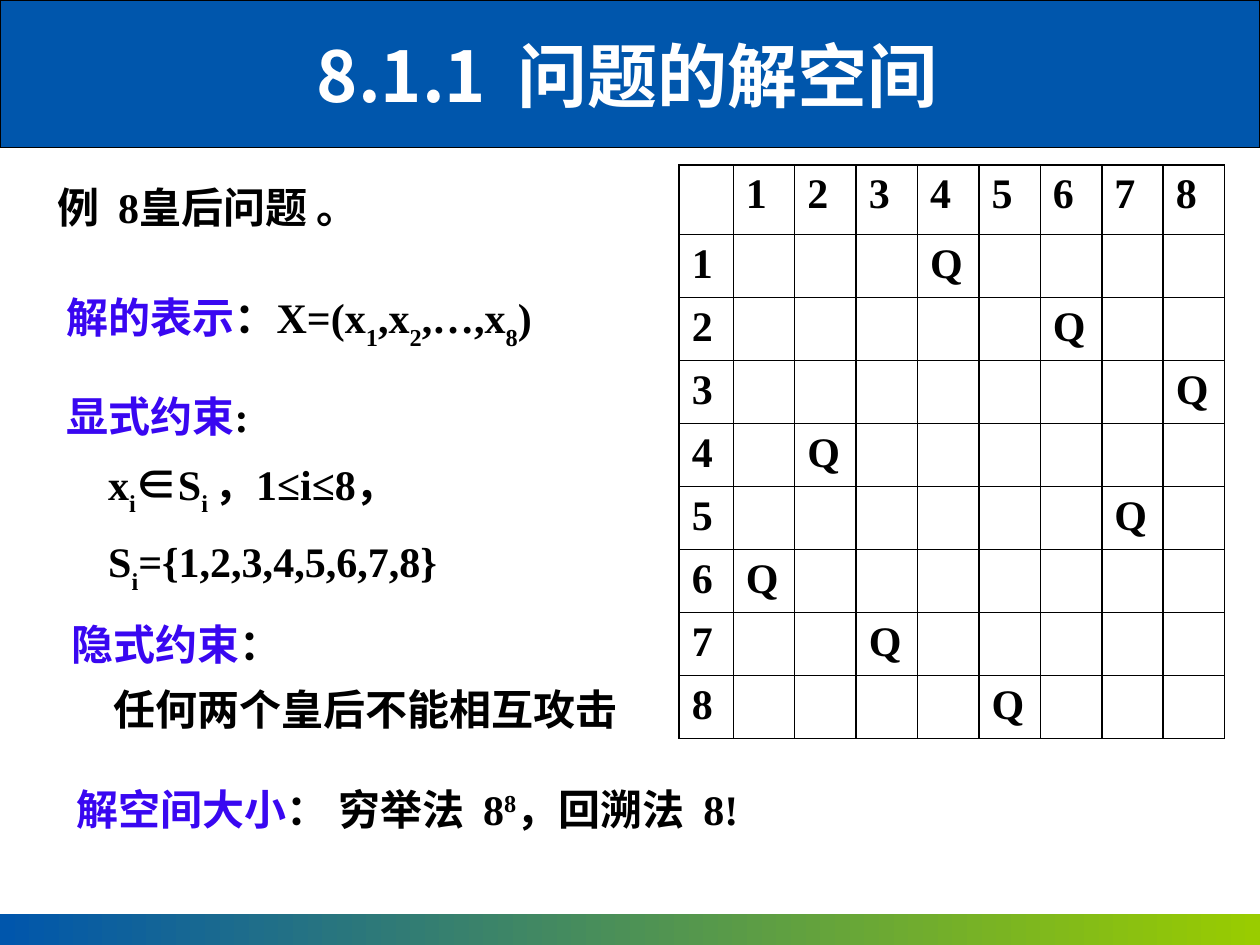
"""Build the slide on the solution space of the eight queens problem."""
from lxml.etree import SubElement
from pptx import Presentation
from pptx.dml.color import RGBColor
from pptx.enum.shapes import MSO_SHAPE
from pptx.enum.text import MSO_ANCHOR, MSO_AUTO_SIZE, PP_ALIGN
from pptx.oxml import parse_xml
from pptx.oxml.ns import nsdecls, qn
from pptx.util import Inches, Pt

BLACK = RGBColor(0x00, 0x00, 0x00)
WHITE = RGBColor(0xFF, 0xFF, 0xFF)
BLUE = RGBColor(0x00, 0x56, 0xAC)
GREEN = RGBColor(0x99, 0xCC, 0x00)
VIOLET = RGBColor(0x39, 0x07, 0xF1)
SERIF, SANS, CHINESE = "Times New Roman", "Arial", "Noto Sans CJK SC"
SUB, SUPER = -30, 30
INDENT = Inches(0.33)


def add_span(para, text, color=BLACK, font=SERIF, shift=0, size=24):
    span = para.add_run()
    span.text = text
    span.font.size = Pt(size)
    span.font.bold = True
    span.font.color.rgb = color
    span.font.name = font
    properties = span._r.get_or_add_rPr()
    SubElement(properties, qn("a:ea")).set("typeface", CHINESE)
    if shift:
        properties.set("baseline", str(shift * 1000))


def add_bar(top, height):
    bar = page.shapes.add_shape(MSO_SHAPE.RECTANGLE, 0, Inches(top), deck.slide_width, Inches(height))
    bar.shadow.inherit = False
    return bar


deck = Presentation()
deck.slide_width, deck.slide_height = Inches(10), Inches(7.5)
page = deck.slides.add_slide(deck.slide_layouts[6])

header = add_bar(0, 1.17)
header.fill.solid()
header.fill.fore_color.rgb = BLUE
header.line.color.rgb = BLACK
header.line.width = Pt(0.75)

footer = add_bar(7.25, 0.25)
footer.fill.gradient()
footer.fill.gradient_angle = 0
for stop, color, position in zip(footer.fill.gradient_stops, (BLUE, GREEN), (0, 1)):
    stop.color.rgb = color
    stop.position = position
footer.line.fill.background()

TOP, MIDDLE = MSO_ANCHOR.TOP, MSO_ANCHOR.MIDDLE
LEFT, CENTER, JUSTIFY = PP_ALIGN.LEFT, PP_ALIGN.CENTER, PP_ALIGN.JUSTIFY
boxes = [
    ((0.28, 1.23, 3.54, 0.71), TOP, True, JUSTIFY, [
        (1.4, 0, [(" 例  8",), ("皇后问题 。", BLACK, SANS)]),
    ]),
    ((0.43, 2.25, 3.98, 0.55), MIDDLE, False, LEFT, [
        (1.1, 0, [("解的表示", VIOLET, SANS), ("：", BLACK, SANS), ("X=(x",),
                  ("1", BLACK, SERIF, SUB), (",x",), ("2", BLACK, SERIF, SUB),
                  (",…,x",), ("8", BLACK, SERIF, SUB), (")",)]),
    ]),
    ((0.43, 3.13, 3.18, 1.56), MIDDLE, False, LEFT, [
        (1, 0, [("显式约束", VIOLET), (": ",)]),
        (1.3, INDENT, [("x",), ("i", BLACK, SERIF, SUB), ("∈", BLACK, CHINESE), ("S",),
                       ("i ", BLACK, SERIF, SUB), ("，1≤i≤8，",)]),
        (1.3, INDENT, [("S",), ("i", BLACK, SERIF, SUB), ("={1,2,3,4,5,6,7,8}",)]),
    ]),
    ((0.47, 4.73, 4.6, 1.15), MIDDLE, False, LEFT, [
        (1.3, 0, [("隐式约束", VIOLET), ("：",)]),
        (1.3, INDENT, [("任何两个皇后不能相互攻击",)]),
    ]),
    ((0.51, 6.14, 5.67, 0.51), MIDDLE, True, LEFT, [
        (1.1, 0, [("解空间大小", VIOLET), ("： 穷举法  8",),
                  ("8", BLACK, SERIF, SUPER), ("，回溯法  8! ",)]),
    ]),
    ((0.58, 0.21, 8.92, 0.77), TOP, True, CENTER, [
        (1, 0, [("8.1.1  问题的解空间 ", WHITE, CHINESE, 0, 40)]),
    ]),
]
for place, anchor, wrap, alignment, paragraphs in boxes:
    box = page.shapes.add_textbox(*map(Inches, place))
    frame = box.text_frame
    frame.word_wrap = wrap
    frame.vertical_anchor = anchor
    frame.auto_size = MSO_AUTO_SIZE.SHAPE_TO_FIT_TEXT
    for index, (spacing, indent, spans) in enumerate(paragraphs):
        para = frame.add_paragraph() if index else frame.paragraphs[0]
        para.alignment = alignment
        para.line_spacing = float(spacing)
        if indent:
            para._p.get_or_add_pPr().set("marL", str(indent))
        for span in spans:
            add_span(para, *span)

queens = [4, 6, 8, 2, 7, 1, 3, 5]
count = len(queens)
board = page.shapes.add_table(count + 1, count + 1, Inches(5.39), Inches(1.31),
                              Inches(4.33), Inches(4.55)).table
board.first_row = board.horz_banding = False
for index in range(count + 1):
    board.columns[index].width = Inches(3.9 / count if index else 0.43)
    board.rows[index].height = Inches(0.5 if index else 0.55)
for row in range(count + 1):
    for column in range(count + 1):
        cell = board.cell(row, column)
        if row and column:
            label = "Q" if queens[row - 1] == column else ""
        else:
            label = str(row + column or "")
        if label:
            add_span(cell.text_frame.paragraphs[0], label)
        properties = cell._tc.get_or_add_tcPr()
        for side in ("lnL", "lnR", "lnT", "lnB"):
            properties.append(parse_xml(
                f'<a:{side} {nsdecls("a")} w="{Pt(1)}"><a:solidFill>'
                f'<a:srgbClr val="{BLACK}"/></a:solidFill></a:{side}>'))
        cell.fill.background()

deck.save("out.pptx")
